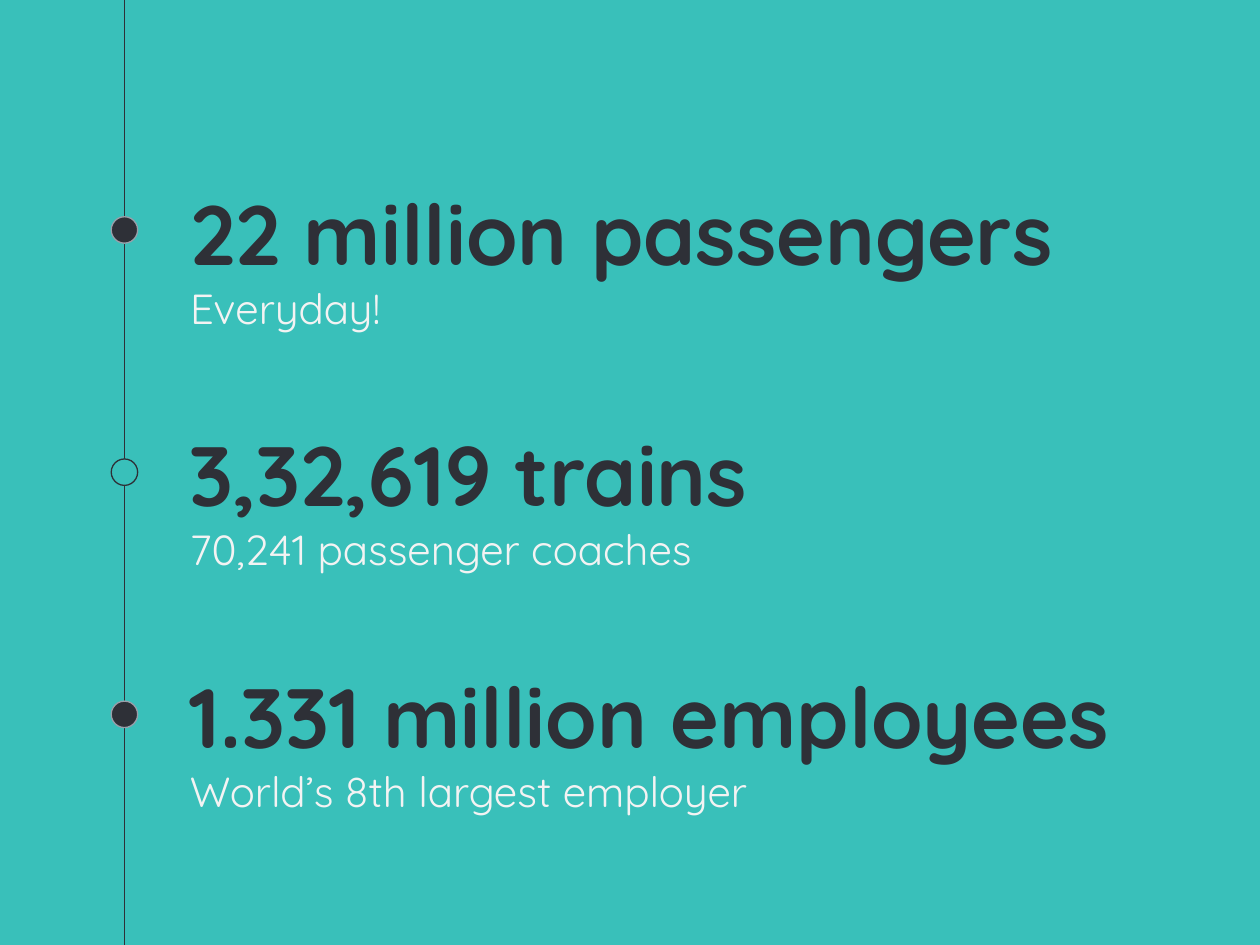
from lxml import etree
from pptx import Presentation
from pptx import util as u
from pptx.dml import color
from pptx.enum import shapes, text
from pptx.oxml import ns

COLOURS = {"teal": "39C0BA", "ink": "2E3037", "pale": "F3F3F3", "rim": "999FA9"}
FACTS = [
    ("22 million passengers", "Everyday!", "ink", "rim"),
    ("3,32,619 trains", "70,241 passenger coaches", "teal", "ink"),
    ("1.331 million employees", "World’s 8th largest employer", "ink", "rim"),
]
AXIS_X = 71.1
DOT_SIZE = 15.1
FIRST_DOT_Y = 131.4
DOT_PITCH = 138.4
TEXT_LEFT, TEXT_WIDTH = 101.5, 558.7
FIRST_HEADLINE_TOP, FACT_PITCH = 74.0, 138.0
HEADLINE_HEIGHT, DETAIL_HEIGHT, DETAIL_OFFSET = 94.3, 49, 80.2


def rgb(name):
    """Return the named palette colour."""
    return color.RGBColor.from_string(COLOURS[name])


def add_axis(slide, height):
    """Draw the vertical timeline from top to bottom of the slide."""
    axis = slide.shapes.add_connector(
        shapes.MSO_CONNECTOR.STRAIGHT, u.Pt(AXIS_X), u.Pt(0), u.Pt(AXIS_X), height)
    axis.line.color.rgb = rgb("ink")
    axis.line.width = u.Pt(0.75)
    etree.SubElement(axis._element.spPr, ns.qn("a:effectLst"))


def add_dot(slide, centre_y, fill, rim):
    """Draw one timeline marker centred on the axis."""
    dot = slide.shapes.add_shape(
        shapes.MSO_SHAPE.OVAL, u.Pt(AXIS_X - DOT_SIZE / 2), u.Pt(centre_y - DOT_SIZE / 2),
        u.Pt(DOT_SIZE), u.Pt(DOT_SIZE))
    dot.shadow.inherit = False
    dot.fill.solid()
    dot.fill.fore_color.rgb = rgb(fill)
    dot.line.color.rgb = rgb(rim)
    dot.line.width = u.Pt(0.75)


def write_line(holder, words, top, height, size, ink, bold, anchor, space_before):
    """Place a text holder and write one formatted line in it."""
    holder.left, holder.top = u.Pt(TEXT_LEFT), u.Pt(top)
    holder.width, holder.height = u.Pt(TEXT_WIDTH), u.Pt(height)
    frame = holder.text_frame
    frame.word_wrap = True
    frame.auto_size = text.MSO_AUTO_SIZE.NONE
    frame.vertical_anchor = anchor
    frame.margin_left = frame.margin_right = u.Pt(7.2)
    frame.margin_top = frame.margin_bottom = u.Pt(7.2)
    line = frame.paragraphs[0]
    line.alignment = text.PP_ALIGN.LEFT
    line.space_before = u.Pt(space_before)
    run = line.add_run()
    run.text = words
    run.font.name = "Quicksand"
    run.font.size = u.Pt(size)
    run.font.bold = bold
    run.font.color.rgb = rgb(ink)


def add_fact(headline_holder, detail_holder, headline, detail, top):
    """Write a headline with its detail underneath."""
    write_line(headline_holder, headline, top, HEADLINE_HEIGHT, 48, "ink", True,
               text.MSO_ANCHOR.BOTTOM, 0)
    write_line(detail_holder, detail, top + DETAIL_OFFSET, DETAIL_HEIGHT, 24, "pale", False,
               text.MSO_ANCHOR.TOP, 6)


def main():
    """Build the railway facts slide."""
    deck = Presentation()
    deck.slide_width, deck.slide_height = u.Pt(720), u.Pt(540)
    slide = deck.slides.add_slide(deck.slide_layouts[0])
    slide.background.fill.solid()
    slide.background.fill.fore_color.rgb = rgb("teal")
    add_axis(slide, deck.slide_height)
    for row, (headline, detail, fill, rim) in enumerate(FACTS):
        add_dot(slide, FIRST_DOT_Y + row * DOT_PITCH, fill, rim)
        if row == 0:
            holders = slide.shapes.title, slide.placeholders[1]
        else:
            holders = [slide.shapes.add_textbox(0, 0, 0, 0) for _ in range(2)]
        add_fact(*holders, headline, detail, FIRST_HEADLINE_TOP + row * FACT_PITCH)
    deck.save("out.pptx")


if __name__ == "__main__":
    main()
